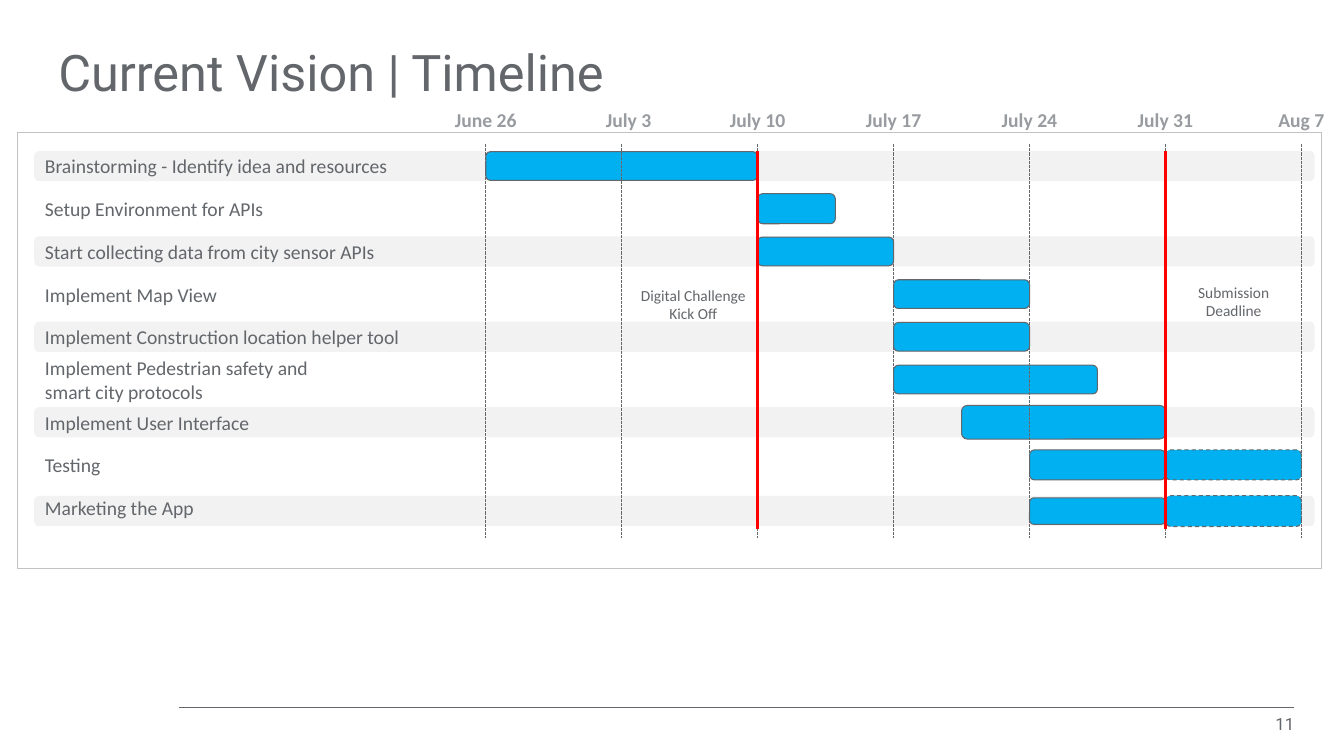
from dataclasses import dataclass

from lxml.etree import SubElement
from pptx import Presentation
from pptx.dml.color import RGBColor
from pptx.enum.dml import MSO_LINE
from pptx.enum.shapes import MSO_CONNECTOR, MSO_SHAPE
from pptx.enum.text import MSO_ANCHOR, PP_ALIGN
from pptx.oxml.ns import qn
from pptx.shapes.autoshape import Shape
from pptx.slide import Slide
from pptx.util import Pt


@dataclass(frozen=True)
class Theme:
    ink: RGBColor = RGBColor(0x63, 0x66, 0x6A)
    date: RGBColor = RGBColor(0x98, 0x9B, 0x9F)
    frame: RGBColor = RGBColor(0xC0, 0xC2, 0xC4)
    stripe: RGBColor = RGBColor(0xF2, 0xF2, 0xF2)
    bar: RGBColor = RGBColor(0x00, 0xB0, 0xF0)
    milestone: RGBColor = RGBColor(0xFF, 0x00, 0x00)
    heading_font: str = "Roboto"
    body_font: str = "Calibri"
    title_size: float = 36
    body_size: float = 14
    page_size: float = 12
    note_size: float = 11


@dataclass(frozen=True)
class Box:
    left: float
    top: float
    width: float
    height: float


@dataclass(frozen=True)
class TextStyle:
    size: float
    color: RGBColor
    font: str
    bold: bool = False
    align: PP_ALIGN = PP_ALIGN.LEFT
    anchor: MSO_ANCHOR = MSO_ANCHOR.TOP
    inset: bool = False
    spacing: float = 1.0


@dataclass(frozen=True)
class Bar:
    start: float  # days after June 26
    end: float
    height: float = 20.5
    tentative: bool = False


@dataclass(frozen=True)
class Task:
    label: str
    bars: tuple[Bar, ...]
    label_width: float = 390
    drop: float = 0  # how far the bars sit below the label's middle


@dataclass(frozen=True)
class Note:
    text: str
    box: Box


THEME = Theme()
DATES = ("June 26", "July 3", "July 10", "July 17", "July 24", "July 31", "Aug 7")
DATE_SHIFT = {"July 3": 5}
DATE_WIDTH = 58
KICK_OFF, DEADLINE = 14, 35
TASKS = (
    Task("Brainstorming - Identify idea and resources", (Bar(0, 14),)),
    Task("Setup Environment for APIs", (Bar(14, 18, 21.5),)),
    Task("Start collecting data from city sensor APIs", (Bar(14, 21),)),
    Task("Implement Map View", (Bar(21, 28),)),
    Task("Implement Construction location helper tool", (Bar(21, 28),)),
    Task("Implement Pedestrian safety and smart city protocols",
         (Bar(21, 31.5),), label_width=219),
    Task("Implement User Interface", (Bar(24.5, 35, 24),)),
    Task("Testing", (Bar(28, 35, 21.5), Bar(35, 42, 21.5, True))),
    Task("Marketing the App", (Bar(28, 35, 19), Bar(35, 42, 22, True)), drop=2.5),
)
NOTES = (
    Note("Digital Challenge Kick Off", Box(451, 204.2, 88.5, 26.5)),
    Note("Submission\nDeadline", Box(837, 202, 88.5, 26.5)),
)
FIRST_DAY_X, WEEK_WIDTH = 347, 97.1
FIRST_ROW_Y, ROW_STEP = 118.6, 30.5


def day_x(day: float) -> float:
    return FIRST_DAY_X + day * WEEK_WIDTH / 7


def add_text(slide: Slide, text: str, box: Box, style: TextStyle) -> None:
    frame = slide.shapes.add_textbox(
        Pt(box.left), Pt(box.top), Pt(box.width), Pt(box.height)).text_frame
    frame.word_wrap = True
    frame.vertical_anchor = style.anchor
    if not style.inset:
        frame.margin_left = frame.margin_right = Pt(0)
        frame.margin_top = frame.margin_bottom = Pt(0)
    frame.text = text
    for paragraph in frame.paragraphs:
        paragraph.alignment = style.align
        paragraph.line_spacing = style.spacing
        for run in paragraph.runs:
            run.font.name = style.font
            run.font.size = Pt(style.size)
            run.font.bold = style.bold
            run.font.color.rgb = style.color


def add_panel(slide: Slide, kind: MSO_SHAPE, box: Box, fill: RGBColor | None = None,
              outline: RGBColor | None = None, weight: float = 0.75) -> Shape:
    panel = slide.shapes.add_shape(
        kind, Pt(box.left), Pt(box.top), Pt(box.width), Pt(box.height))
    panel.shadow.inherit = False
    if fill is None:
        panel.fill.background()
    else:
        panel.fill.solid()
        panel.fill.fore_color.rgb = fill
    if outline is None:
        panel.line.fill.background()
    else:
        panel.line.color.rgb = outline
        panel.line.width = Pt(weight)
    return panel


def add_line(slide: Slide, start: tuple[float, float], end: tuple[float, float],
             color: RGBColor, weight: float, dash: MSO_LINE | None = None) -> None:
    line = slide.shapes.add_connector(
        MSO_CONNECTOR.STRAIGHT, Pt(start[0]), Pt(start[1]), Pt(end[0]), Pt(end[1]))
    line.line.color.rgb = color
    line.line.width = Pt(weight)
    if dash is not None:
        line.line.dash_style = dash
    SubElement(line._element.spPr, qn("a:effectLst"))


def add_task(slide: Slide, index: int, task: Task) -> None:
    middle = FIRST_ROW_Y + index * ROW_STEP
    bar_middle = middle + task.drop
    if index % 2 == 0:
        add_panel(slide, MSO_SHAPE.ROUNDED_RECTANGLE,
                  Box(24.5, bar_middle - 10.8, 914.5, 21.6), THEME.stripe)
    add_text(slide, task.label, Box(25, middle - 12, task.label_width, 24),
             TextStyle(THEME.body_size, THEME.ink, THEME.body_font,
                       anchor=MSO_ANCHOR.MIDDLE, inset=True))
    for bar in task.bars:
        left = day_x(bar.start)
        panel = add_panel(
            slide, MSO_SHAPE.ROUNDED_RECTANGLE,
            Box(left, bar_middle - bar.height / 2, day_x(bar.end) - left, bar.height),
            THEME.bar, THEME.ink)
        if bar.tentative:
            panel.line.dash_style = MSO_LINE.DASH


def main() -> None:
    deck = Presentation()
    deck.slide_width, deck.slide_height = Pt(960), Pt(540)
    slide = deck.slides.add_slide(deck.slide_layouts[6])

    # Title, footer rule and page number
    add_line(slide, (128, 505), (924.5, 505), THEME.ink, 0.25)
    add_text(slide, "Current Vision | Timeline", Box(41.7, 17.5, 795, 72),
             TextStyle(THEME.title_size, THEME.ink, THEME.heading_font,
                       anchor=MSO_ANCHOR.MIDDLE, spacing=0.9))
    add_text(slide, "11", Box(898.5, 510, 26, 14.5),
             TextStyle(THEME.page_size, THEME.ink, THEME.heading_font,
                       align=PP_ALIGN.RIGHT))

    # Chart frame and task rows
    add_panel(slide, MSO_SHAPE.RECTANGLE, Box(12.4, 94.8, 931.5, 311),
              outline=THEME.frame, weight=0.5)
    for index, task in enumerate(TASKS):
        add_task(slide, index, task)

    # Weekly dates with their guide lines
    date_style = TextStyle(THEME.body_size, THEME.date, THEME.body_font, bold=True,
                           align=PP_ALIGN.CENTER)
    for week, date in enumerate(DATES):
        x = day_x(week * 7)
        left = x - DATE_WIDTH / 2 + DATE_SHIFT.get(date, 0)
        add_text(slide, date, Box(left, 77, DATE_WIDTH, 18), date_style)
        add_line(slide, (x, 103), (x, 384), THEME.ink, 0.75, MSO_LINE.SQUARE_DOT)

    # Milestones and their notes
    for day in (KICK_OFF, DEADLINE):
        add_line(slide, (day_x(day), 108), (day_x(day), 378), THEME.milestone, 2.5)
    for note in NOTES:
        add_text(slide, note.text, note.box,
                 TextStyle(THEME.note_size, THEME.ink, THEME.body_font,
                           align=PP_ALIGN.CENTER))

    deck.save("out.pptx")


if __name__ == "__main__":
    main()
